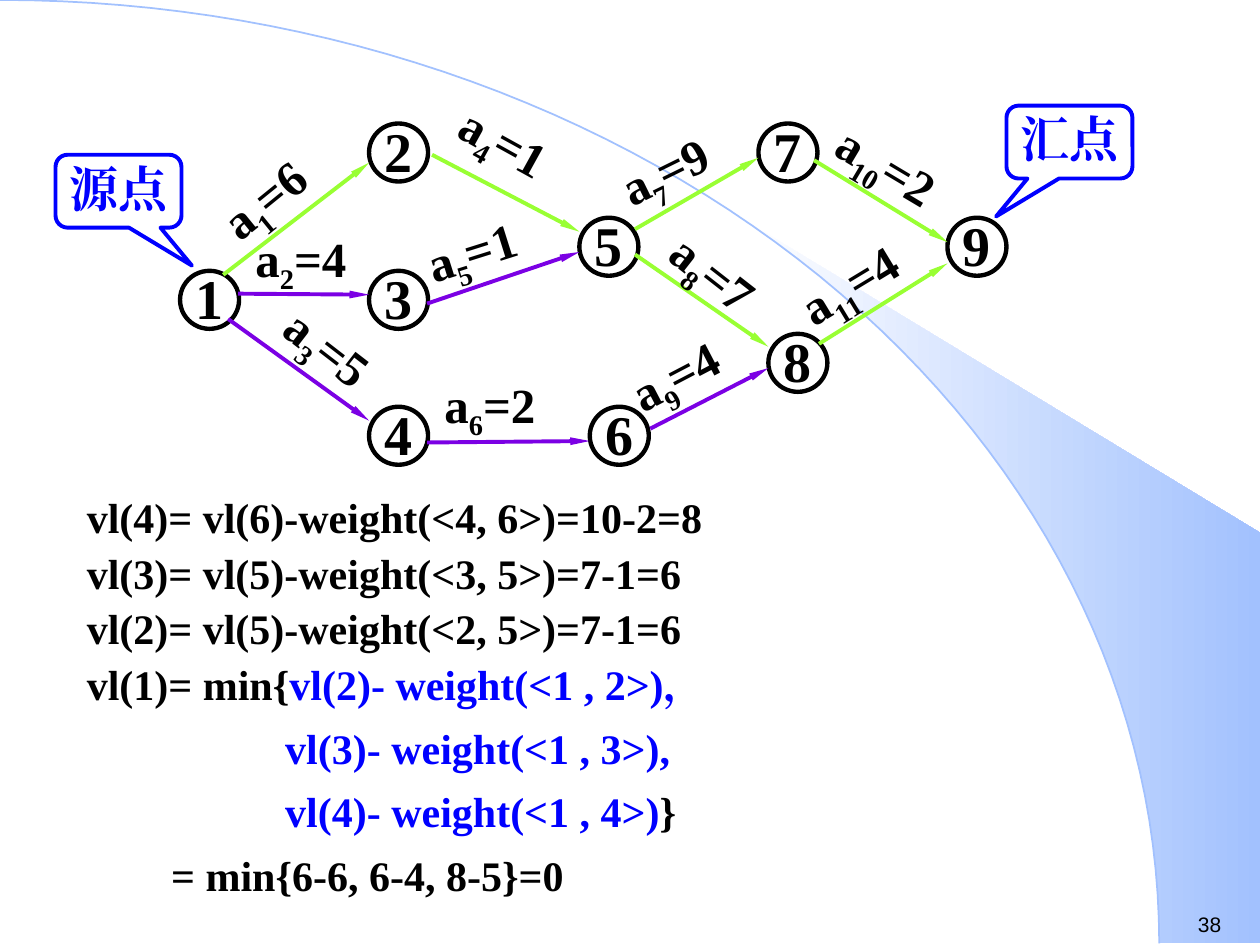
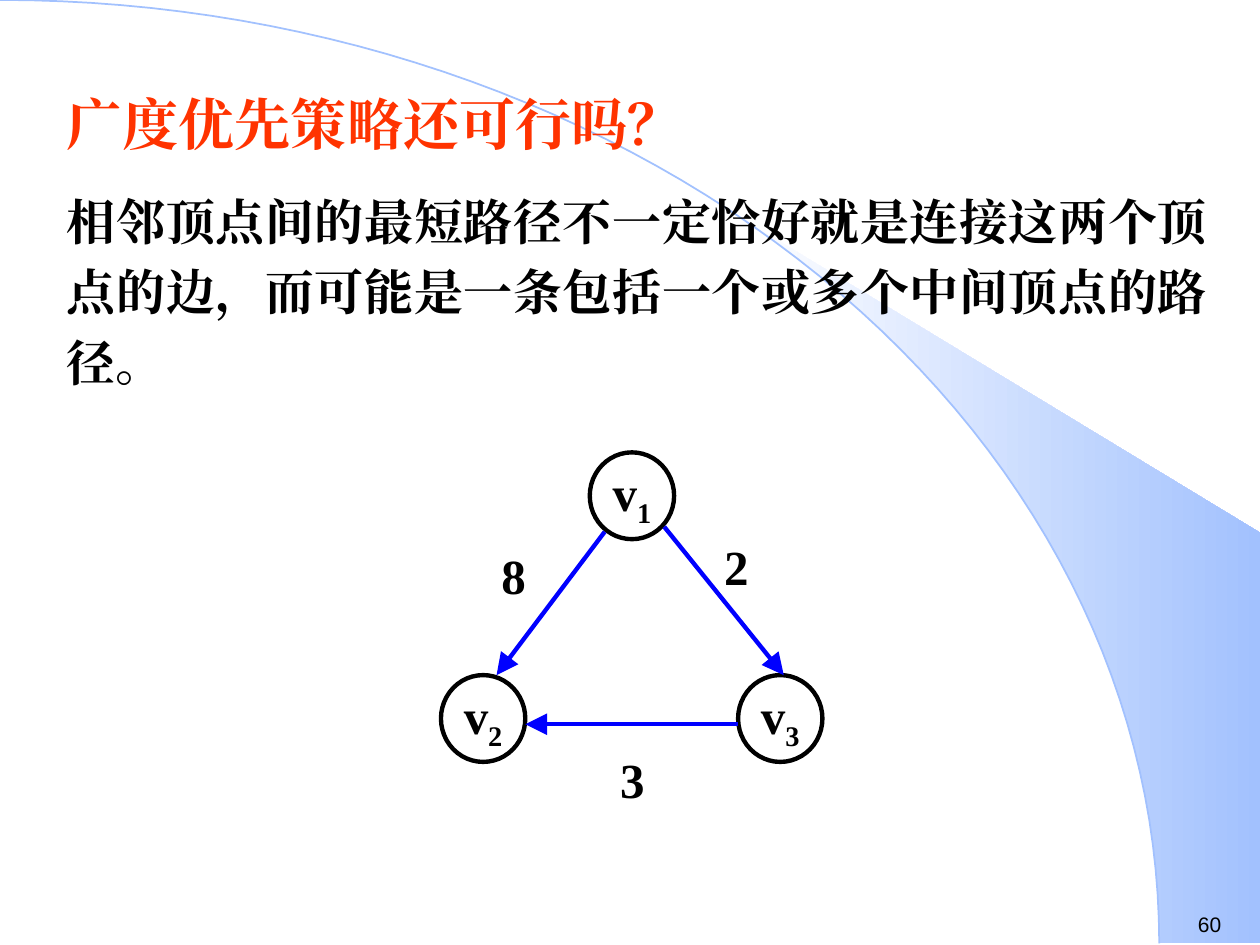
from math import asin, cos, pi, sin

from lxml.etree import SubElement
from pptx import Presentation
from pptx.dml.color import RGBColor
from pptx.enum.shapes import MSO_CONNECTOR, MSO_SHAPE
from pptx.enum.text import MSO_ANCHOR, PP_ALIGN
from pptx.oxml.ns import qn
from pptx.util import Cm, Pt

# Shared style
SERIF, SANS = "Times New Roman", "Arial"
BLACK, WHITE, BLUE, RED = "000000", "FFFFFF", "0000FF", "FF3300"
GREEN, PURPLE, SKY = "99FF33", "7B00E4", "A2C1FE"
WIDTH, HEIGHT = 25.4, 19.05
ARC_W, ARC_H = 23.37, 19.02          # radii of the background arc
BAND_START = (14.96, 10.74)          # x where the band leaves the arc, y at the right edge
INSETS = (0.25, 0.13, 0.25, 0.13)

# Activity network: node -> left, top
NODES = {
    "1": (3.63, 5.46), "2": (7.44, 2.49), "3": (7.44, 5.46),
    "4": (7.44, 8.2), "5": (11.68, 4.39), "6": (11.89, 8.2),
    "7": (15.29, 2.49), "8": (15.49, 6.73), "9": (19.1, 4.39),
}
# index, weight, label left, label top, label rotation, from, to, colour
ACTIVITIES = [
    ("1", 6, 3.94, 2.8, -39.1, (4.5, 5.54), (7.44, 3.28), GREEN),
    ("2", 4, 4.9, 4.37, 0, (4.8, 5.92), (7.44, 5.94), PURPLE),
    ("3", 5, 5.38, 6.58, 37.7, (4.6, 6.43), (7.44, 8.48), PURPLE),
    ("4", 1, 8.97, 2.34, 28.9, (8.71, 3.12), (11.68, 4.67), GREEN),
    ("5", 1, 8.28, 4.04, -17.6, (8.61, 6.12), (11.68, 5.08), PURPLE),
    ("6", 2, 8.71, 7.32, 0, (8.61, 8.92), (11.89, 8.89), PURPLE),
    ("7", 9, 12.12, 2.34, -26.2, (12.8, 4.62), (15.29, 3.18), GREEN),
    ("8", 7, 13.16, 5.08, 38, (12.8, 5.13), (15.49, 6.99), GREEN),
    ("9", 4, 12.32, 6.45, -27.6, (13.11, 8.64), (15.49, 7.42), PURPLE),
    ("10", 2, 16.56, 2.77, 30.9, (16.41, 3.23), (19.1, 4.88), GREEN),
    ("11", 4, 15.7, 4.65, -31.2, (16.51, 6.93), (19.1, 5.31), GREEN),
]
# text, left, top, horizontal tail position
CALLOUTS = [("汇点", 20.29, 2.13, -0.583), ("源点", 1.12, 3.12, 0.583)]
# indent, space before, runs of (text, colour)
LATEST_TIMES = [
    (0, 0, [("vl(4)= vl(6)-weight(<4, 6>)=10-2=8", BLACK)]),
    (0, 3, [("vl(3)= vl(5)-weight(<3, 5>)=7-1=6", BLACK)]),
    (0, 3, [("vl(2)= vl(5)-weight(<2, 5>)=7-1=6", BLACK)]),
    (0, 3, [("vl(1)= min{", BLACK), ("vl(2)- weight(<1 , 2>)，", BLUE)]),
    (4, 7.5, [("vl(3)- weight(<1 , 3>),", BLUE)]),
    (4, 7.5, [("vl(4)- weight(<1 , 4>)", BLUE), ("}", BLACK)]),
    (1.7, 7.5, [("= min{6-6, 6-4, 8-5}=0", BLACK)]),
]

# Shortest path question
QUESTION = [
    ("广度优先策略还可行吗？", 32, RED, 0),
    ("相邻顶点间的最短路径不一定恰好就是连接这两个顶点的边，"
     "而可能是一条包括一个或多个中间顶点的路径。", 28, BLACK, 13),
]
VERTICES = {"1": (11.89, 9.12), "2": (8.89, 13.61), "3": (14.88, 13.61)}
# weight, label left, label top, from, to
PATHS = [
    ("8", 10.11, 10.9, (12.19, 10.72), (10.01, 13.61)),
    ("2", 14.6, 10.72, (13.39, 10.62), (15.8, 13.61)),
    ("3", 12.5, 15.01, (14.88, 14.6), (10.59, 14.6)),
]


def rgb(color):
    return RGBColor.from_string(color)


def style_run(r, size, color=BLACK, font=SERIF, bold=True, sub=False):
    r.font.size, r.font.name, r.font.bold = Pt(size), font, bold
    r.font.color.rgb = rgb(color)
    rPr = r.font._element
    SubElement(rPr, qn("a:ea")).set("typeface", font)
    if sub:
        rPr.set("baseline", "-25000")


def add_runs(p, runs, size):
    """Runs are (text, colour) or (text, colour, True) for a subscript."""
    for text, color, *sub in runs:
        r = p.add_run()
        r.text = text
        style_run(r, size, color, sub=bool(sub))


def set_insets(tf, insets):
    sides = [Cm(v) for v in insets]
    tf.margin_left, tf.margin_top, tf.margin_right, tf.margin_bottom = sides


def add_text(s, x, y, w, h, insets=INSETS):
    box = s.shapes.add_textbox(Cm(x), Cm(y), Cm(w), Cm(h))
    box.text_frame.word_wrap = True
    set_insets(box.text_frame, insets)
    return box


def add_outline(s, kind, x, y, w, h, color, width, runs, size, lift=0):
    """Unfilled shape with centred text, raised a little by lift."""
    sp = s.shapes.add_shape(kind, Cm(x), Cm(y), Cm(w), Cm(h))
    sp.shadow.inherit = False
    sp.fill.background()
    sp.line.color.rgb, sp.line.width = rgb(color), Pt(width)
    tf = sp.text_frame
    tf.word_wrap = False
    tf.vertical_anchor = MSO_ANCHOR.MIDDLE
    set_insets(tf, (0, 0, 0, lift))
    p = tf.paragraphs[0]
    p.alignment = PP_ALIGN.CENTER
    add_runs(p, runs, size)
    return sp


def add_arrow(s, start, end, color, width, head_width):
    ends = [Cm(v) for v in (*start, *end)]
    line = s.shapes.add_connector(MSO_CONNECTOR.STRAIGHT, *ends)
    line.line.color.rgb, line.line.width = rgb(color), Pt(width)
    head = SubElement(line.line._get_or_add_ln(), qn("a:tailEnd"))
    for key, value in (("type", "triangle"), ("w", head_width), ("len", "lg")):
        head.set(key, value)
    SubElement(line._element.spPr, qn("a:effectLst"))


def arc_points(first, steps=60):
    """Points on the background arc, from angle first to its foot."""
    angles = [first + (pi / 2 - first) * i / steps for i in range(steps + 1)]
    return [(Cm(ARC_W * sin(a)), Cm(ARC_H * (1 - cos(a)))) for a in angles]


def add_outline_path(s, points, close):
    fb = s.shapes.build_freeform(*points[0])
    fb.add_line_segments(points[1:], close=close)
    sp = fb.convert_to_shape()
    sp.shadow.inherit = False
    return sp


def new_slide(prs, number):
    """Slide with the curved band, the arc and the page number."""
    s = prs.slides.add_slide(prs.slide_layouts[6])
    band_x, band_y = BAND_START
    edge = [(Cm(WIDTH), Cm(ARC_H)), (Cm(WIDTH), Cm(band_y))]
    band = add_outline_path(s, arc_points(asin(band_x / ARC_W)) + edge, True)
    band.line.fill.background()
    band.fill.gradient()
    band.fill.gradient_angle = 0
    for stop, color, at in zip(band.fill.gradient_stops, (WHITE, SKY), (0, 1)):
        stop.color.rgb, stop.position = rgb(color), at
    arc = add_outline_path(s, arc_points(0), False)
    arc.fill.background()
    arc.line.color.rgb, arc.line.width = rgb(SKY), Pt(1)

    p = add_text(s, 23.9, 18.24, 1.5, 0.76).text_frame.paragraphs[0]
    p.text = str(number)
    style_run(p.runs[0], 12, font=SANS, bold=False)
    return s


def build_network(prs):
    s = new_slide(prs, 38)
    # Calculation of the latest times
    tf = add_text(s, 1.5, 9.78, 17.6, 7.98).text_frame
    for i, (indent, before, runs) in enumerate(LATEST_TIMES):
        p = tf.add_paragraph() if i else tf.paragraphs[0]
        p.space_before = Pt(before)
        if indent:
            p._p.get_or_add_pPr().set("marL", str(Cm(indent)))
        add_runs(p, runs, 24)
    # Events, activities and callouts
    for name, (x, y) in NODES.items():
        add_outline(s, MSO_SHAPE.OVAL, x, y, 1.19, 1.17, BLACK, 2.5,
                    [(name, BLACK)], 32, lift=0.1)
    for index, weight, x, y, angle, start, end, color in ACTIVITIES:
        add_arrow(s, start, end, color, 2.25, "sm")
        label = add_text(s, x, y, 3.61, 1.45, (0.25, 0.23, 0.25, 0.13))
        label.rotation = angle
        add_runs(label.text_frame.paragraphs[0],
                 [("a", BLACK), (index, BLACK, True), (f"={weight}", BLACK)], 28)
    for text, x, y, tail in CALLOUTS:
        sp = add_outline(s, MSO_SHAPE.ROUNDED_RECTANGULAR_CALLOUT, x, y,
                         2.54, 1.47, BLUE, 2.25, [(text, BLUE)], 28, lift=0.15)
        for i, value in enumerate((tail, 1.021, 0.167)):
            sp.adjustments[i] = value


def build_question(prs):
    s = new_slide(prs, 60)
    # Question and answer
    tf = add_text(s, 1.1, 1.4, 23.5, 6.71).text_frame
    for i, (text, size, color, before) in enumerate(QUESTION):
        p = tf.add_paragraph() if i else tf.paragraphs[0]
        p.alignment = PP_ALIGN.JUSTIFY
        p.line_spacing, p.space_before = 1.2, Pt(before)
        add_runs(p, [(text, color)], size)
    # Weighted triangle
    for index, (x, y) in VERTICES.items():
        add_outline(s, MSO_SHAPE.OVAL, x, y, 1.7, 1.75, BLACK, 2.5,
                    [("v", BLACK), (index, BLACK, True)], 28)
    for weight, x, y, start, end in PATHS:
        add_arrow(s, start, end, BLUE, 2.5, "lg")
        label = add_text(s, x, y, 0.71, 1.19, (0, 0.1, 0, 0))
        add_runs(label.text_frame.paragraphs[0], [(weight, BLACK)], 28)


def main():
    prs = Presentation()
    prs.slide_width, prs.slide_height = Cm(WIDTH), Cm(HEIGHT)
    build_network(prs)
    build_question(prs)
    prs.save("out.pptx")


if __name__ == "__main__":
    main()
